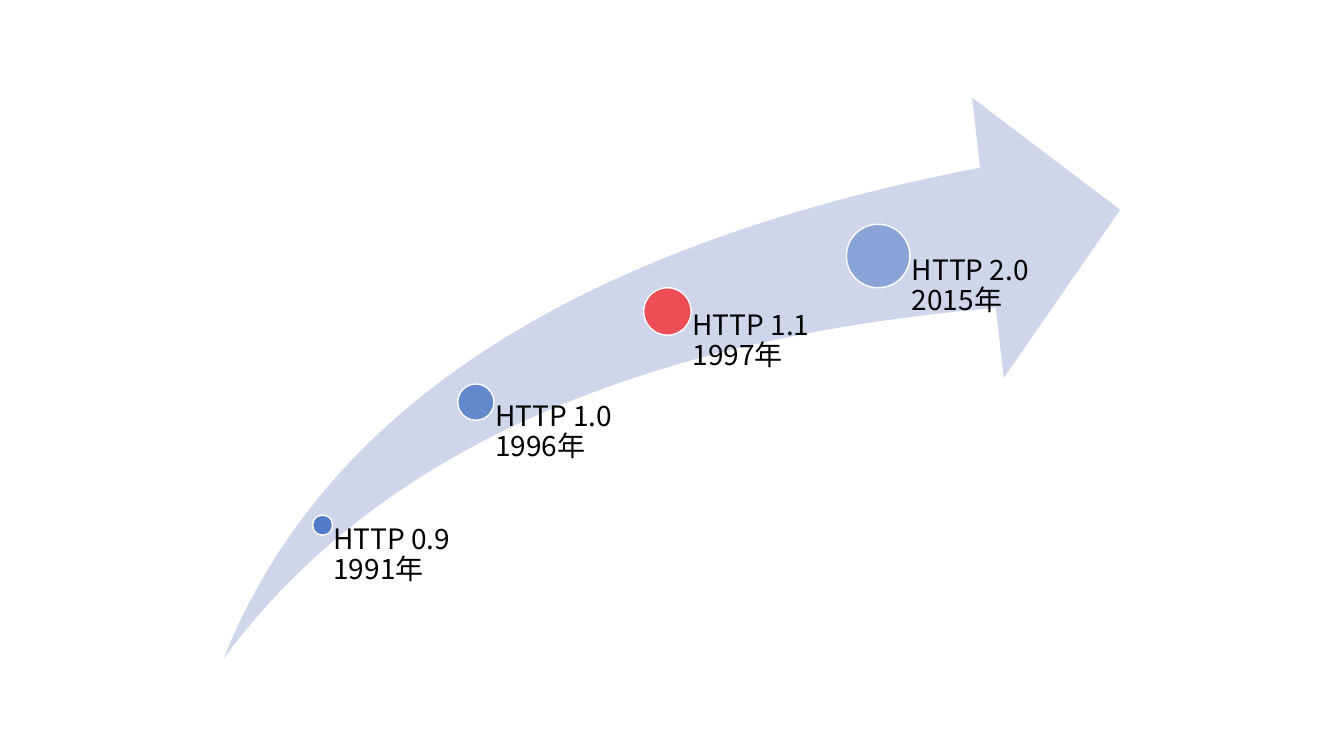
"""Draw the HTTP version timeline along a rising swoosh arrow."""
from dataclasses import dataclass

from lxml.etree import SubElement as Sub
from pptx import Presentation as Deck
from pptx.dml.color import RGBColor as Rgb
from pptx.enum.shapes import MSO_SHAPE as Kind
from pptx.oxml.ns import qn
from pptx.util import Inches, Pt


@dataclass(frozen=True)
class Theme:
    font: str = "Noto Sans CJK SC"
    size: int = 20
    ink: str = "000000"
    band: str = "CFD5EA"
    rim: str = "FFFFFF"
    blue: str = "4472C4"
    red: str = "FF0000"


class Board:
    def __init__(self, slide, theme):
        self.slide = slide
        self.theme = theme

    def shape(self, kind, box, color, alpha=100, rim=None):
        item = self.slide.shapes.add_shape(kind, *map(Inches, box))
        item.shadow.inherit = False
        item.fill.solid()
        item.fill.fore_color.rgb = Rgb.from_string(color)
        if alpha < 100:
            tint = item.fill._xPr.find(qn("a:solidFill"))[0]
            Sub(tint, qn("a:alpha"), val=str(alpha * 1000))
        if rim:
            item.line.color.rgb = Rgb.from_string(rim)
            item.line.width = Pt(1)
        else:
            item.line.fill.background()
        return item

    def arrow(self, box):
        item = self.shape(Kind.SWOOSH_ARROW, box, self.theme.band)
        for i in range(2):
            item.adjustments[i] = 0.25

    def dot(self, x, y, size, color, alpha):
        box = (x - size / 2, y - size / 2, size, size)
        self.shape(Kind.OVAL, box, color, alpha, self.theme.rim)

    def text(self, words, box, inset=0, spacing=0.9):
        frame = self.slide.shapes.add_textbox(*map(Inches, box)).text_frame
        frame.word_wrap = True
        frame.margin_left = Inches(inset)
        frame.margin_top = frame.margin_right = frame.margin_bottom = 0
        para = frame.paragraphs[0]
        para.line_spacing = spacing
        run = para.add_run()
        run.text = words
        run.font.size = Pt(self.theme.size)
        run.font.name = self.theme.font
        run.font.color.rgb = Rgb.from_string(self.theme.ink)
        Sub(run.font._element, qn("a:ea"), typeface=self.theme.font)


def main():
    deck = Deck()
    deck.slide_width, deck.slide_height = Inches(13.33), Inches(7.5)
    theme = Theme()
    board = Board(deck.slides.add_slide(deck.slide_layouts[6]), theme)
    left, top, width, height = 2.22, 0.97, 8.89, 5.56
    board.arrow((left, top, width, height))
    base = top + height
    steps = [
        ("HTTP 0.9 1991年", 3.2, 5.21, 0.2, 1.52, theme.blue, 90),
        ("HTTP 1.0 1996年", 4.72, 3.99, 0.36, 1.87, theme.blue, 77),
        ("HTTP 1.1 1997年", 6.62, 3.09, 0.47, 1.87, theme.red, 63),
        ("HTTP 2.0 2015年", 8.71, 2.54, 0.63, 1.87, theme.blue, 50),
    ]
    for words, x, y, size, wide, color, alpha in steps:
        board.dot(x, y, size, color, alpha)
        board.text(words, (x, y, wide, base - y), inset=size * 0.53)
    deck.save("out.pptx")


if __name__ == "__main__":
    main()
